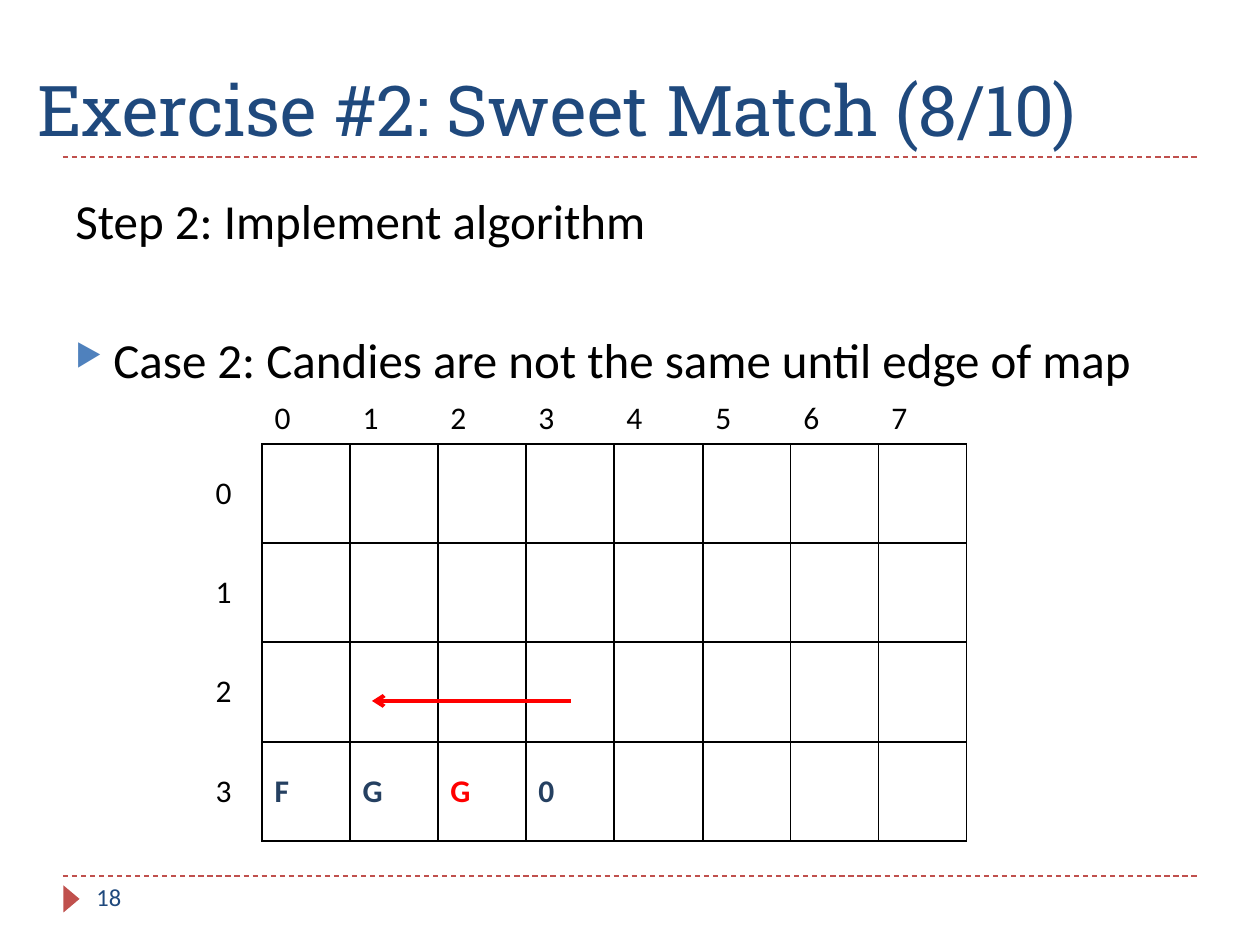
from lxml import etree
from pptx import Presentation
from pptx import util as u
from pptx.dml import color
from pptx.enum import dml, shapes, text
from pptx.oxml import ns

PX = u.Inches(1) // 126
COLORS = {"navy": "1F497D", "ink": "254061", "brick": "C0504D", "blue": "4F81BD",
          "red": "FF0000", "black": "000000", "white": "FFFFFF"}


def write(para, words, size, shade, face="Calibri", bold=False):
    span = para.add_run()
    span.text = words
    for name, value in {"size": u.Pt(size), "name": face, "bold": bold}.items():
        setattr(span.font, name, value)
    span.font.color.rgb = color.RGBColor.from_string(COLORS[shade])


def add_line(start_x, end_x, y, width, shade):
    line = page.shapes.add_connector(shapes.MSO_CONNECTOR.STRAIGHT,
                                     start_x * PX, y * PX, end_x * PX, y * PX)
    line.line.width = u.Pt(width)
    line.line.color.rgb = color.RGBColor.from_string(COLORS[shade])
    etree.SubElement(line._element.spPr, ns.qn("a:effectLst"))
    return line


deck = Presentation()
deck.slide_width, deck.slide_height = 1260 * PX, 945 * PX
page = deck.slides.add_slide(deck.slide_layouts[6])

for y in (876, 157):
    rule = add_line(63, 1197, y, 0.75, "brick")
    rule.line.dash_style = dml.MSO_LINE.DASH

marker = page.shapes.add_shape(shapes.MSO_SHAPE.ISOSCELES_TRIANGLE,
                               58 * PX, 891 * PX, 27 * PX, 16 * PX)
marker.rotation = 90
marker.shadow.inherit = False
marker.fill.solid()
marker.fill.fore_color.rgb = color.RGBColor.from_string(COLORS["brick"])
marker.line.fill.background()

row_edges = [394] + [round(444 + 397 * step / 4) for step in range(5)]
column_edges = [203] + [round(262 + 705 * step / 8) for step in range(9)]
frame = page.shapes.add_table(5, 9, 203 * PX, 394 * PX, 764 * PX, 447 * PX)
grid = frame.table
grid.first_row = grid.horz_banding = False
grid._tbl.tblPr.find(ns.qn("a:tableStyleId")).text = "{2D5ABB26-0587-4C30-8999-92F81FD0307C}"
for column, left, right in zip(grid.columns, column_edges, column_edges[1:]):
    column.width = (right - left) * PX
for row, top, bottom in zip(grid.rows, row_edges, row_edges[1:]):
    row.height = (bottom - top) * PX

candies = {(4, 1): ("F", "ink"), (4, 2): ("G", "ink"),
           (4, 3): ("G", "red"), (4, 4): ("0", "ink")}
for r in range(5):
    for c in range(9):
        cell = grid.cell(r, c)
        cell.fill.solid()
        cell.fill.fore_color.rgb = color.RGBColor.from_string(COLORS["white"])
        cell.vertical_anchor = text.MSO_ANCHOR.MIDDLE
        cell.margin_top = cell.margin_bottom = 0
        para = cell.text_frame.paragraphs[0]
        para.alignment = text.PP_ALIGN.JUSTIFY
        if (r == 0) != (c == 0):
            write(para, str(r + c - 1), 18, "black")
        elif (r, c) in candies:
            letter, shade = candies[r, c]
            write(para, letter, 18, shade, bold=True)
        inside = r > 0 and c > 0
        sides = {"lnL": inside, "lnR": r > 0, "lnT": inside, "lnB": c > 0}
        properties = cell._tc.get_or_add_tcPr()
        for place, side in enumerate(side for side in sides if sides[side]):
            edge = etree.Element(ns.qn("a:" + side), w=str(u.Pt(1)))
            fill = etree.SubElement(edge, ns.qn("a:solidFill"))
            etree.SubElement(fill, ns.qn("a:srgbClr"), val=COLORS["black"])
            properties.insert(place, edge)

boxes = {}
for name, left, top, width, height, anchor in (
        ("title", 25, 21, 1221, 136, text.MSO_ANCHOR.BOTTOM),
        ("body", 63, 184, 1134, 664, text.MSO_ANCHOR.TOP),
        ("number", 84, 876, 273, 50, text.MSO_ANCHOR.TOP)):
    box = page.shapes.add_textbox(left * PX, top * PX, width * PX, height * PX)
    box.text_frame.word_wrap = True
    box.text_frame.vertical_anchor = anchor
    boxes[name] = box.text_frame

write(boxes["title"].paragraphs[0], "Exercise #2: Sweet Match (8/10)", 40, "navy", "Roboto Slab")
write(boxes["number"].paragraphs[0], "18", 14, "navy")
step = boxes["body"].paragraphs[0]
step.space_before = u.Pt(6)
write(step, "Step 2: Implement algorithm", 28, "black")
case = boxes["body"].add_paragraph()
case.space_before = u.Pt(46)
write(case, "Case 2: Candies are not the same until edge of map", 28, "black")
layout = case._p.get_or_add_pPr()
layout.set("marL", str(38 * PX))
layout.set("indent", str(-38 * PX))
bullet = etree.SubElement(layout, ns.qn("a:buClr"))
etree.SubElement(bullet, ns.qn("a:srgbClr"), val=COLORS["blue"])
etree.SubElement(layout, ns.qn("a:buSzPct"), val="62000")
etree.SubElement(layout, ns.qn("a:buChar"), char="▶")

arrow = add_line(571, 372, 701, 2.25, "red")
etree.SubElement(arrow.line._get_or_add_ln(), ns.qn("a:tailEnd"), type="arrow")

deck.save("out.pptx")
